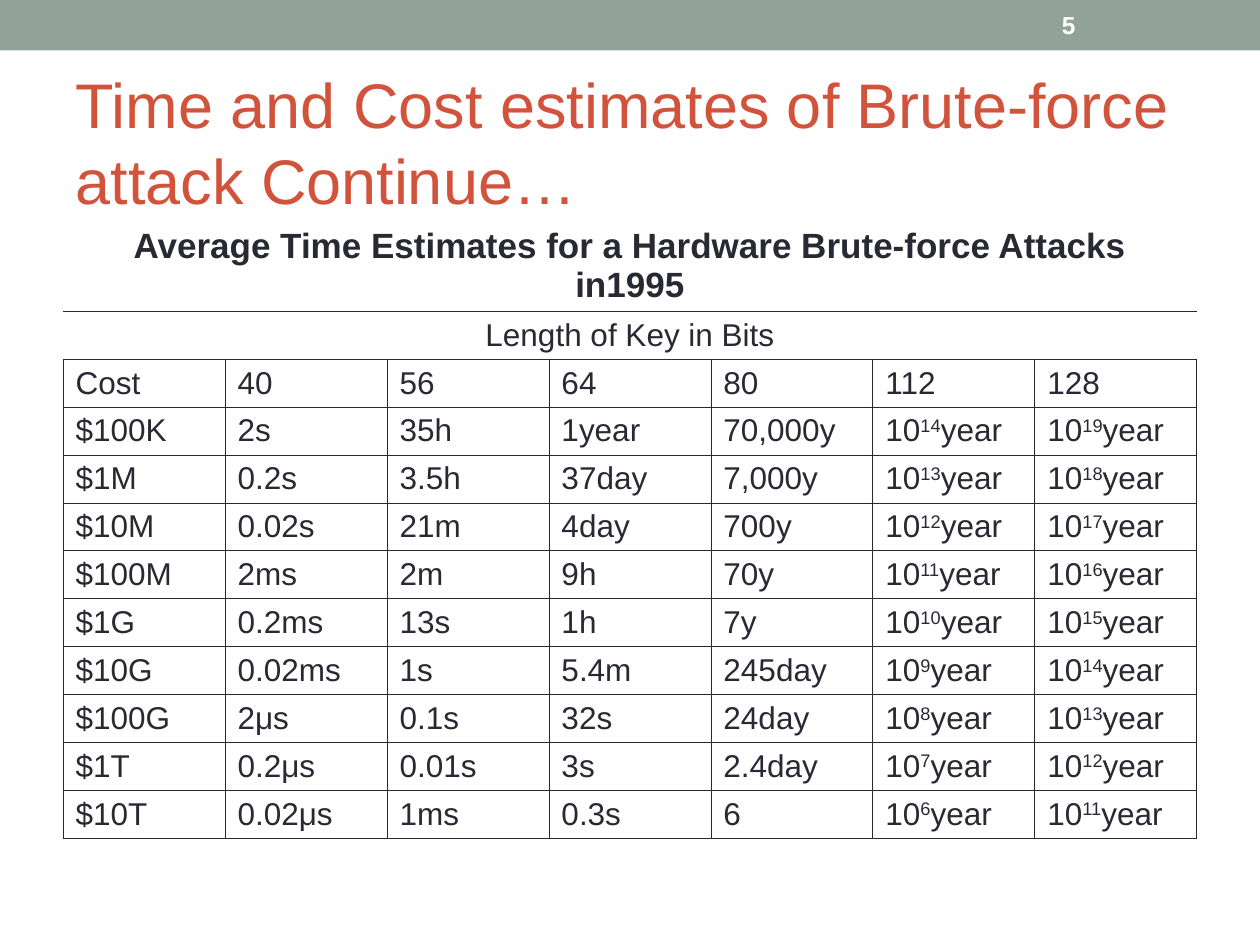
from dataclasses import dataclass

from pptx import Presentation
from pptx.dml.color import RGBColor
from pptx.enum.shapes import MSO_SHAPE
from pptx.enum.text import MSO_ANCHOR, PP_ALIGN
from pptx.oxml.ns import qn
from pptx.util import Inches, Pt
from lxml.etree import SubElement


@dataclass(frozen=True)
class Theme:
    font: str = "Arial"
    bar: str = "93A299"
    accent: str = "D2533C"
    ink: str = "292934"
    light: str = "FFFFFF"
    title: int = 36
    caption: int = 20
    body: int = 18
    number: int = 14
    border: float = 0.45


COSTS = ["$100K", "$1M", "$10M", "$100M", "$1G", "$10G", "$100G", "$1T", "$10T"]
TIMES = [
    "2s 35h 1year 70,000y",
    "0.2s 3.5h 37day 7,000y",
    "0.02s 21m 4day 700y",
    "2ms 2m 9h 70y",
    "0.2ms 13s 1h 7y",
    "0.02ms 1s 5.4m 245day",
    "2μs 0.1s 32s 24day",
    "0.2μs 0.01s 3s 2.4day",
    "0.02μs 1ms 0.3s 6",
]
HEADER = ["Cost", "40", "56", "64", "80", "112", "128"]


class SlideBuilder:
    """Places elements by shares of the slide's width and height."""

    def __init__(self, prs, theme):
        self.prs, self.theme = prs, theme
        self.s = prs.slides.add_slide(prs.slide_layouts[5])

    def box(self, x, y, w, h):
        width, height = self.prs.slide_width, self.prs.slide_height
        return int(x * width), int(y * height), int(w * width), int(h * height)

    def set_text(self, tf, text, size, color, bold=False, align=PP_ALIGN.LEFT):
        """Fill the first paragraph; text between ^ marks is raised."""
        p = tf.paragraphs[0]
        p.alignment = align
        p.font.name, p.font.size, p.font.bold = self.theme.font, Pt(size), bold
        p.font.color.rgb = RGBColor.from_string(color)
        for i, part in enumerate(text.split("^")):
            r = p.add_run()
            r.text = part
            if i % 2:
                r._r.get_or_add_rPr().set("baseline", "30000")

    def bar(self, *share):
        sp = self.s.shapes.add_shape(MSO_SHAPE.RECTANGLE, *self.box(*share))
        sp.shadow.inherit = False
        sp.fill.solid()
        sp.fill.fore_color.rgb = RGBColor.from_string(self.theme.bar)
        sp.line.fill.background()

    def title(self, text, *share):
        sp = self.s.shapes.title
        sp.left, sp.top, sp.width, sp.height = self.box(*share)
        sp.text_frame.vertical_anchor = MSO_ANCHOR.MIDDLE
        self.set_text(sp.text_frame, text, self.theme.title, self.theme.accent)

    def number(self, text, *share):
        tf = self.s.shapes.add_textbox(*self.box(*share)).text_frame
        tf.word_wrap = True
        tf.vertical_anchor = MSO_ANCHOR.MIDDLE
        self.set_text(tf, text, self.theme.number, self.theme.light, bold=True)

    def borders(self, cell, sides):
        """Draw the named sides (L, R, T, B) and clear the others."""
        tcPr = cell._tc.get_or_add_tcPr()
        for side in "LRTB":
            ln = SubElement(tcPr, qn(f"a:ln{side}"), w=str(Pt(self.theme.border)))
            if side in sides:
                fill = SubElement(ln, qn("a:solidFill"))
                SubElement(fill, qn("a:srgbClr"), val=self.theme.ink)
            else:
                SubElement(ln, qn("a:noFill"))

    def table(self, banners, rows, heights, *share):
        """Banner rows span all columns; the rows below form the ruled grid."""
        theme, columns = self.theme, len(rows[0])
        frame = self.s.shapes.add_table(len(heights), columns, *self.box(*share))
        table = frame.table
        table.first_row = table.horz_banding = False
        for row, height in zip(table.rows, heights):
            row.height = Inches(height)
        for i in range(len(heights)):
            sides = "LRTB" if i >= len(banners) else "TB" if i else "B"
            for j in range(columns):
                cell = table.cell(i, j)
                self.borders(cell, sides)
                cell.fill.background()
        for i, (text, size, bold) in enumerate(banners):
            cell = table.cell(i, 0)
            cell.merge(table.cell(i, columns - 1))
            self.set_text(cell.text_frame, text, size, theme.ink, bold,
                          PP_ALIGN.CENTER)
        for i, row in enumerate(rows, len(banners)):
            for j, text in enumerate(row):
                self.set_text(table.cell(i, j).text_frame, text,
                              theme.body, theme.ink)


def main():
    prs = Presentation()
    prs.slide_width, prs.slide_height = Inches(10), Inches(7.5)
    theme = Theme()
    slide = SlideBuilder(prs, theme)
    slide.bar(0, 0, 1, 0.4 / 7.5)
    slide.title("Time and Cost estimates of Brute-force attack Continue…",
                0.05, 0.58 / 7.5, 0.9, 1.08 / 7.5)

    banners = [
        ("Average Time Estimates for a Hardware Brute-force Attacks in1995",
         theme.caption, True),
        ("Length of Key in Bits", theme.body, False),
    ]
    # Each tenfold budget cuts the two longest keys by one power of ten.
    rows = [HEADER] + [
        [cost, *times.split(), f"10^{14 - i}^year", f"10^{19 - i}^year"]
        for i, (cost, times) in enumerate(zip(COSTS, TIMES))
    ]
    slide.table(banners, rows, [0.72] + [0.38] * 11,
                0.05, 1.75 / 7.5, 0.9, 4.89 / 7.5)
    slide.number("5", 0.833, 0.02 / 7.5, 0.117, 0.36 / 7.5)
    prs.save("out.pptx")


if __name__ == "__main__":
    main()
